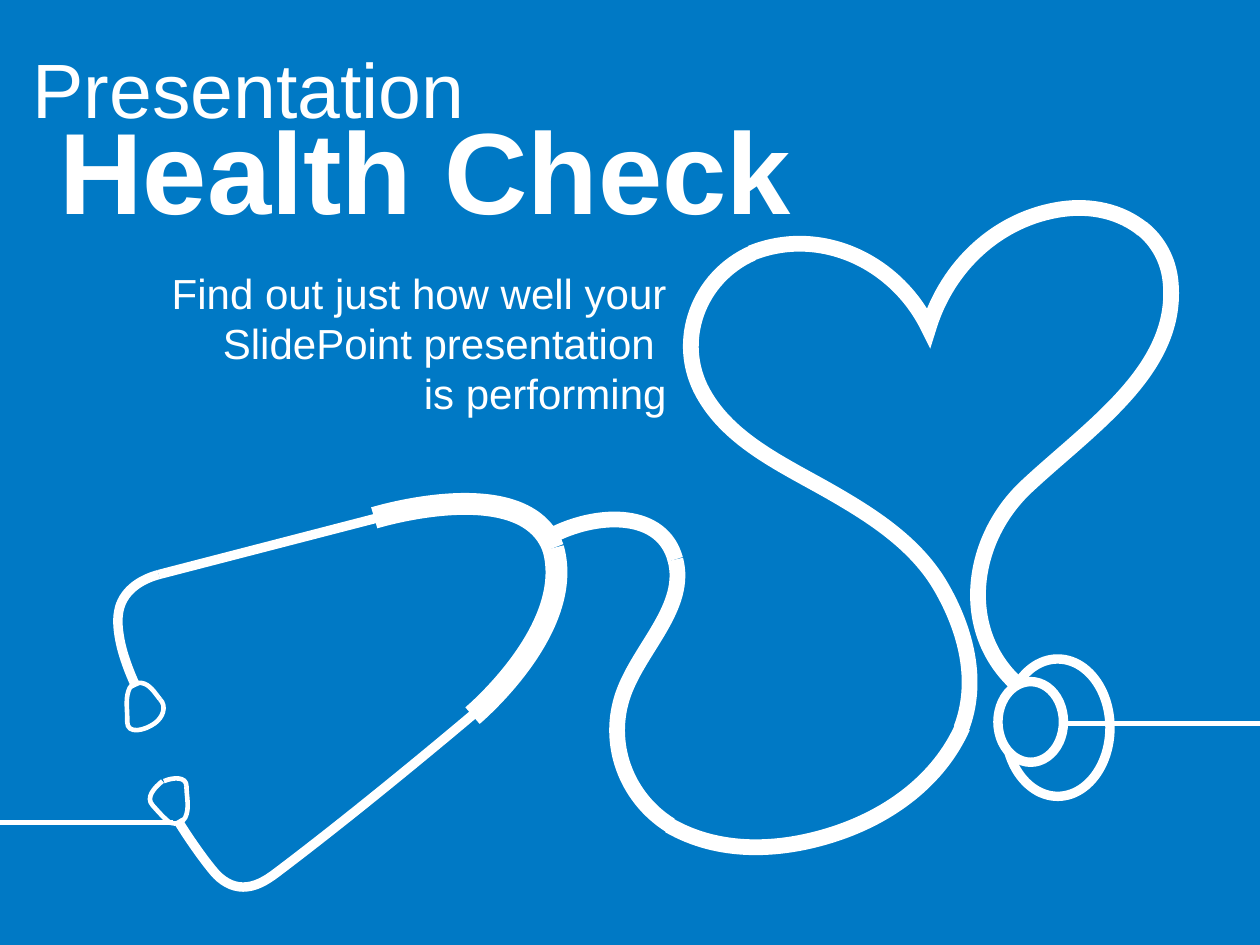
from itertools import pairwise
from math import cos, dist, radians, sin
from lxml import etree
from pptx import Presentation
from pptx.dml import color
from pptx.enum import shapes, text
from pptx.oxml import ns
from pptx.util import Inches, Pt

theme = {
    "back": color.RGBColor(0x00, 0x79, 0xC5),
    "ink": color.RGBColor(0xFF, 0xFF, 0xFF),
    "font": "Arial",
    "head": Pt(66), "top": Pt(44), "sub": Pt(24),
    "thin": Pt(2.64), "tube": Pt(5.39), "hose": Pt(9), "grip": Pt(12.5),
}


def style(shape, width):
    shape.line.color.rgb = theme["ink"]
    shape.line.width = theme[width]
    line = shape._element.spPr.find(ns.qn("a:ln"))
    etree.SubElement(line, ns.qn("a:miter"), lim="800000")


def curve(tree, width, knots):
    pts = [knots[0][:2]]
    for (x, y, turn), (u, v, bend) in pairwise(knots):
        chord = dist((x, y), (u, v))
        if chord == 0:
            continue
        reach = 0.45 * chord
        if turn is not None and bend is not None:
            sweep = (bend - turn + 180) % 360 - 180
            reach = chord / (3 * cos(radians(sweep / 4)) ** 2)
        for px, py, angle, arm in [(x, y, turn, reach), (u, v, bend, -reach)]:
            if angle is None:
                pts.append((px, py))
            else:
                way = radians(angle)
                pts.append((px + arm * cos(way), py + arm * sin(way)))
        pts.append((u, v))
    spots = [(Inches(px), Inches(py)) for px, py in pts]
    form = tree.build_freeform(*spots[0])
    form.add_line_segments(spots[1:], close=False)
    shape = form.convert_to_shape()
    legs = list(shape._element.iter(ns.qn("a:lnTo")))
    route = legs[0].getparent()
    for i in range(0, len(legs), 3):
        cubic = etree.SubElement(route, ns.qn("a:cubicBezTo"))
        for leg in legs[i:i + 3]:
            cubic.append(leg[0])
            route.remove(leg)
    shape.fill.background()
    shape.shadow.inherit = False
    style(shape, width)


deck = Presentation()
deck.slide_width, deck.slide_height = Inches(10), Inches(7.5)
slide = deck.slides.add_slide(deck.slide_layouts[0])
slide.background.fill.solid()
slide.background.fill.fore_color.rgb = theme["back"]
tree = slide.shapes

knots = {
    "thin": {
        "upper bud": [(1.27, 5.55, 45), (1.23, 5.74, 144), (1.01, 5.73, -90), (1.01, 5.7, -90)],
        "upper neck": [(1.01, 5.7, -90), (1.03, 5.46, -63), (1.12, 5.42, 7), (1.27, 5.55, 51)],
        "lower neck": [(1.48, 6.24, 90), (1.47, 6.49, 116), (1.35, 6.53, -162)],
        "lower cap": [(1.3, 6.2, -23), (1.48, 6.24, 90)],
        "lower bud": [(1.35, 6.53, -143), (1.21, 6.39, -132), (1.29, 6.2, -38)],
    },
    "tube": {
        "lower arm": [(1.41, 6.51, None), (1.7, 6.92, 50), (1.93, 7.04, 0),
                      (2.19, 6.93, -37), (3.78, 5.65, None)],
        "upper arm": [(1.26, 4.56, None), (3.23, 4.05, None)],
        "upper hook": [(1.08, 5.45, None), (0.95, 5.07, -100), (0.95, 4.82, -74),
                       (1.26, 4.56, -15)],
    },
    "grip": {
        "upper grip": [(4.39, 4.35, -110), (2.97, 4.11, None)],
        "lower grip": [(3.75, 5.68, None), (4.39, 4.35, -106)],
    },
    "hose": {
        "heart right": [(9.06, 1.81, 38), (9.29, 2.23, 84), (8.15, 3.86, 137), (8.05, 5.41, 44)],
        "heart top": [(5.96, 2.01, -22), (7.37, 2.6, 64), (7.37, 2.6, -73),
                      (8.43, 1.66, -8), (9.07, 1.82, 39)],
        "heart left": [(7.63, 5.78, -69), (7.47, 4.66, -120), (6.62, 3.92, -150),
                       (5.58, 3.12, -119), (5.97, 2.01, -24)],
        "low bend": [(5.31, 6.55, 30), (6.62, 6.62, -18), (7.64, 5.77, -66)],
        "mid bend": [(5.36, 4.44, 75), (4.95, 5.5, 110), (5.32, 6.55, 32)],
        "top bend": [(4.4, 4.24, -26), (5.36, 4.44, 75)],
    },
}
for width, parts in knots.items():
    for line in parts.values():
        curve(tree, width, line)

discs = {"rim": (7.98, 5.23, 0.83, 1.09), "chest": (7.92, 5.41, 0.52, 0.64)}
for name, place in discs.items():
    disc = tree.add_shape(shapes.MSO_SHAPE.OVAL, *[Inches(n) for n in place])
    disc.shadow.inherit = False
    if name == "chest":
        disc.fill.solid()
        disc.fill.fore_color.rgb = theme["back"]
    else:
        disc.fill.background()
    style(disc, "tube")

for start, end, y in [(10, 8.48, 5.74), (1.37, 0, 6.53)]:
    wire = tree.add_connector(shapes.MSO_CONNECTOR.STRAIGHT, Inches(start), Inches(y),
                              Inches(end), Inches(y))
    style(wire, "thin")
    etree.SubElement(wire._element.spPr, ns.qn("a:effectLst"))

right, left = text.PP_ALIGN.RIGHT, text.PP_ALIGN.LEFT
label = tree.add_textbox(0, 0, Inches(1), Inches(1))
words = [
    (tree.title, "Health Check", (-0.08, 0.95, 6.46, 0.98), "head", True, right, 0.8),
    (label, "Presentation", (0.16, 0.15, 4.22, 1.1), "top", False, left, 1.0),
    (slide.placeholders[1],
     "Find out just how well your SlidePoint presentation \vis performing",
     (1.17, 2.17, 4.22, 1.1), "sub", False, right, 1.0),
]
for box, line, place, size, bold, align, space in words:
    box.left, box.top, box.width, box.height = [Inches(n) for n in place]
    frame = box.text_frame
    frame.text = line
    para = frame.paragraphs[0]
    para.font.color.rgb = theme["ink"]
    formats = [
        (frame, {"word_wrap": True, "auto_size": text.MSO_AUTO_SIZE.NONE,
                 "vertical_anchor": text.MSO_ANCHOR.MIDDLE}),
        (para, {"alignment": align, "line_spacing": space, "space_before": Pt(0)}),
        (para.font, {"name": theme["font"], "size": theme[size], "bold": bold}),
    ]
    for part, values in formats:
        for key, value in values.items():
            setattr(part, key, value)

deck.save("out.pptx")
